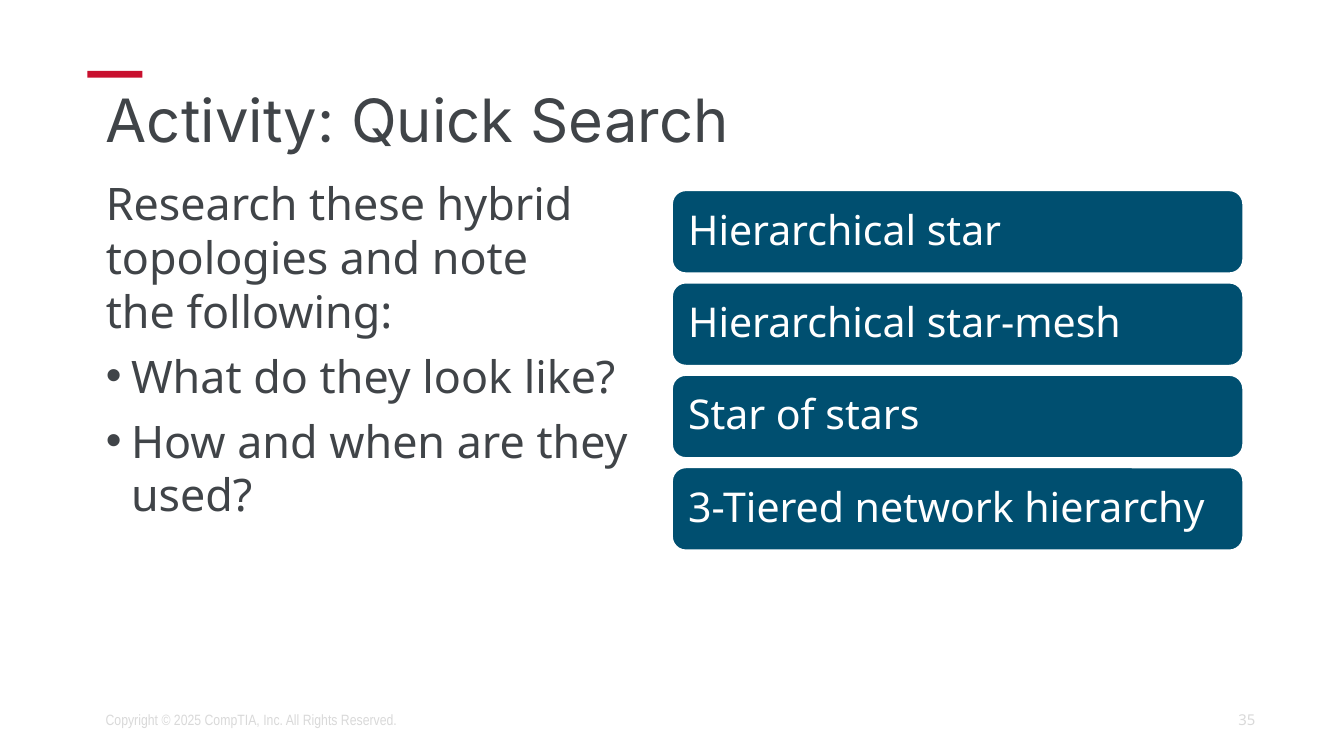
from dataclasses import dataclass

from lxml import etree
from pptx import Presentation
from pptx.dml.color import RGBColor
from pptx.enum import shapes, text
from pptx.oxml import ns
from pptx.util import Pt

RED = RGBColor(0xC8, 0x10, 0x2E)
BLUE = RGBColor(0x00, 0x4F, 0x70)
WHITE = RGBColor(0xFF, 0xFF, 0xFF)
DARK = RGBColor(0x40, 0x44, 0x48)
LIGHT = RGBColor(0xD9, 0xD9, 0xD9)


@dataclass
class Box:
    left: float
    top: float
    width: float
    height: float

    def lengths(self):
        return [Pt(value) for value in (self.left, self.top, self.width, self.height)]


@dataclass
class Style:
    size: float
    font: str
    color: RGBColor


TITLE = Style(32, "Inter", DARK)
BODY = Style(24, "Noto Sans", DARK)
CARD = Style(22, "Noto Sans", WHITE)
NUMBER = Style(8, "Noto Sans", LIGHT)
COPYRIGHT = Style(8, "Arial Narrow", LIGHT)

LEFT = text.PP_ALIGN.LEFT
RIGHT = text.PP_ALIGN.RIGHT
MIDDLE = text.MSO_ANCHOR.MIDDLE
TOP = text.MSO_ANCHOR.TOP


def set_values(target, values: dict) -> None:
    for name, value in values.items():
        setattr(target, name, value)


def place(shape, box: Box) -> None:
    set_values(shape, dict(zip(("left", "top", "width", "height"), box.lengths())))


def set_bullet(paragraph, character: str, indent: float) -> None:
    """Hang the paragraph behind a bullet, or remove the bullet if empty."""
    properties = paragraph._p.get_or_add_pPr()
    properties.set("marL", str(Pt(indent)))
    properties.set("indent", str(-Pt(indent)))
    if character:
        font = etree.SubElement(properties, ns.qn("a:buFont"))
        font.set("typeface", "Arial")
        bullet = etree.SubElement(properties, ns.qn("a:buChar"))
        bullet.set("char", character)
    else:
        etree.SubElement(properties, ns.qn("a:buNone"))


def write(paragraph, words: str, style: Style, **layout) -> None:
    paragraph.text = words
    set_values(paragraph, {"alignment": LEFT, "space_before": Pt(0), **layout})
    for run in paragraph.runs:
        set_values(run.font, {"size": Pt(style.size), "name": style.font})
        run.font.color.rgb = style.color


def prepare_frame(shape, anchor):
    frame = shape.text_frame
    set_values(frame, {"word_wrap": True, "vertical_anchor": anchor,
                       "auto_size": text.MSO_AUTO_SIZE.NONE})
    return frame


def add_filled(slide, kind, box: Box, color: RGBColor):
    shape = slide.shapes.add_shape(kind, *box.lengths())
    shape.shadow.inherit = False
    shape.fill.solid()
    shape.fill.fore_color.rgb = color
    shape.line.fill.background()
    return shape


def add_card(slide, box: Box, words: str) -> None:
    card = add_filled(slide, shapes.MSO_SHAPE.ROUNDED_RECTANGLE, box, BLUE)
    card.line.color.rgb = WHITE
    card.line.width = Pt(1)
    frame = prepare_frame(card, MIDDLE)
    set_values(frame, {"margin_left": Pt(6.5), "margin_right": Pt(6.5)})
    write(frame.paragraphs[0], words, CARD, line_spacing=0.9)


def add_footer(slide, box: Box, words: str, style: Style, alignment) -> None:
    frame = prepare_frame(slide.shapes.add_textbox(*box.lengths()), MIDDLE)
    write(frame.paragraphs[0], words, style, alignment=alignment)


def main() -> None:
    presentation = Presentation()
    presentation.slide_width = Pt(720)
    presentation.slide_height = Pt(404.64)
    # The template marks its size as 4:3, which no longer holds
    presentation.element.sldSz.attrib.pop("type", None)
    slide = presentation.slides.add_slide(presentation.slide_layouts[1])
    title, body = slide.placeholders

    # Accent bar and title
    add_filled(slide, shapes.MSO_SHAPE.RECTANGLE, Box(46.8, 38, 29.6, 3.6), RED)
    place(title, Box(49.5, 46.4, 623.5, 38.9))
    frame = prepare_frame(title, MIDDLE)
    write(frame.paragraphs[0], "Activity: Quick Search", TITLE, line_spacing=0.9)

    # Instructions
    place(body, Box(49.5, 90.7, 315.4, 265))
    frame = prepare_frame(body, TOP)
    lines = [
        ("Research these hybrid topologies and note \vthe following:", "", 0),
        ("What do they look like?", "•", 13.5),
        ("How and when are they used?", "•", 13.5),
    ]
    for index, (words, bullet, indent) in enumerate(lines):
        paragraph = frame.add_paragraph() if index else frame.paragraphs[0]
        set_bullet(paragraph, bullet, indent)
        write(paragraph, words, BODY, space_after=Pt(6), line_spacing=Pt(28.8))

    # Topology cards
    topologies = ["Hierarchical star", "Hierarchical star-mesh",
                  "Star of stars", "3-Tiered network hierarchy"]
    for index, topology in enumerate(topologies):
        add_card(slide, Box(360, 102 + index * 49.5, 306, 44.5), topology)

    # Footer
    add_footer(slide, Box(508.3, 374.6, 171.4, 21.6), "35", NUMBER, RIGHT)
    add_footer(slide, Box(49.5, 374.6, 310.3, 21.6),
               "Copyright © 2025 CompTIA, Inc. All Rights Reserved.", COPYRIGHT, LEFT)

    presentation.save("out.pptx")


if __name__ == "__main__":
    main()
